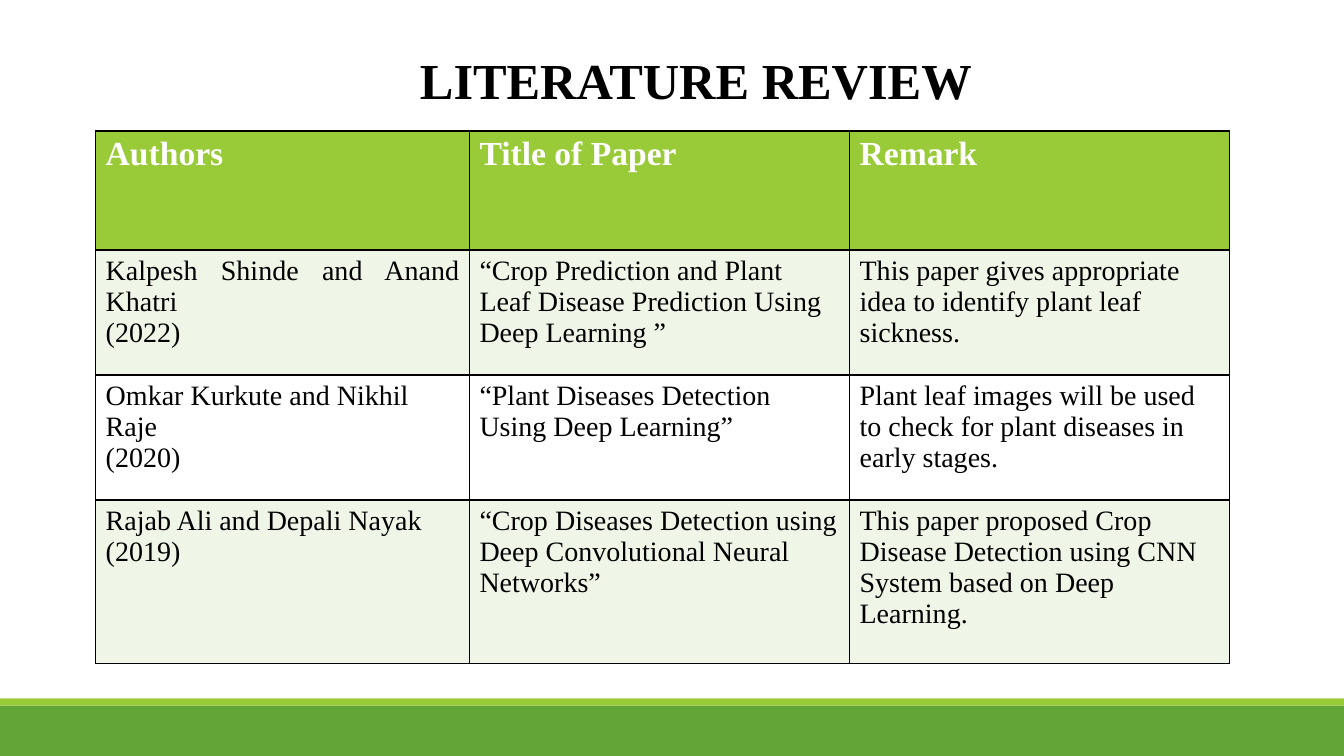
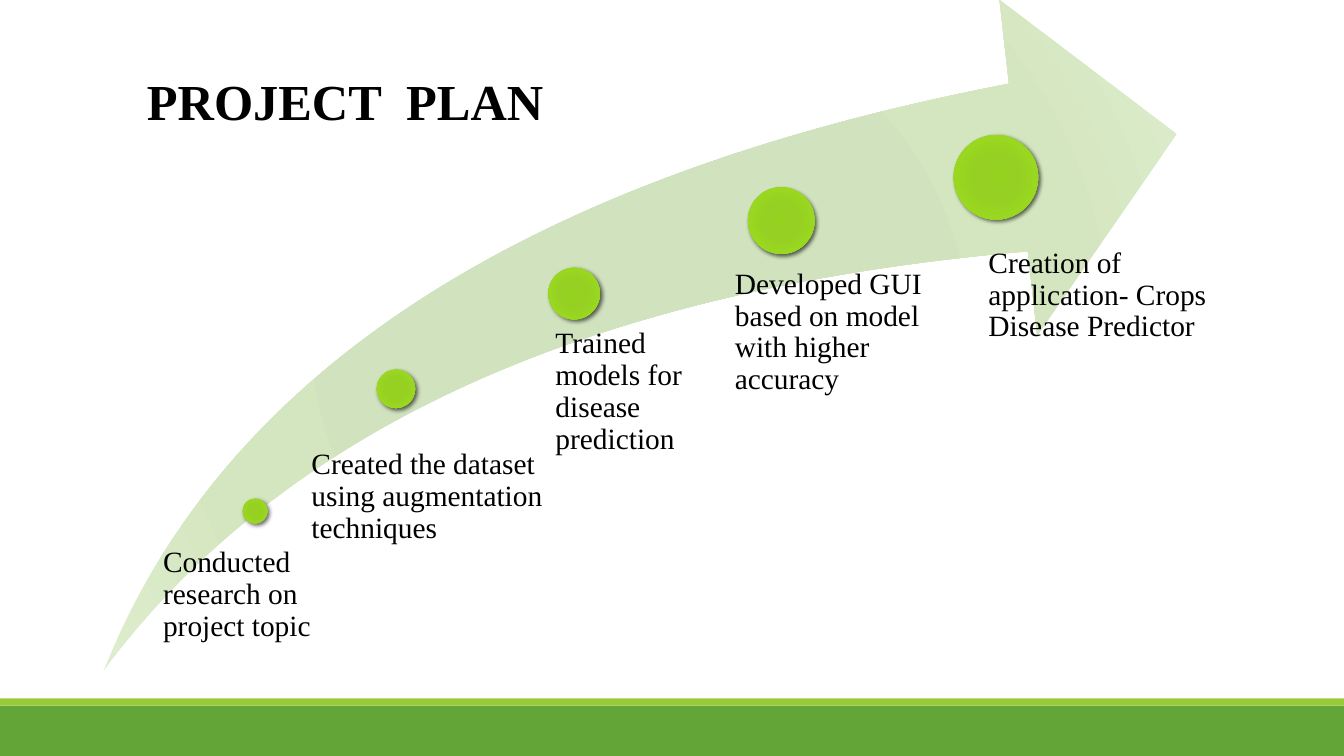
import lxml.etree
import pptx
import pptx.dml.color
import pptx.enum.shapes
import pptx.enum.text
import pptx.oxml
import pptx.oxml.ns
import pptx.util

Cm, Pt = pptx.util.Cm, pptx.util.Pt
SHAPES = pptx.enum.shapes.MSO_SHAPE
ALIGN = pptx.enum.text.PP_ALIGN
qn = pptx.oxml.ns.qn
NAMESPACE = pptx.oxml.ns.nsdecls("a")

FONT = "Times New Roman"
COLORS = {
    "green": "63A537",
    "lime": "99CB38",
    "pale": "EFF6E8",
    "white": "FFFFFF",
    "black": "000000",
}
ARROW_STOPS = ["CFE0BC", "D1E2BE", "D4E6C0", "DEEDCD"]
DOT_STOPS = ["95D220", "96D023", "99D720", "9BD231"]
STOP_POSITIONS = [0, 34, 70, 100]


def style_text(frame, size, color="black", bold=False, align=None):
    for para in frame.paragraphs:
        para.alignment = align
        for span in para.runs:
            span.font.name = FONT
            span.font.size = Pt(size)
            span.font.bold = bold
            span.font.color.rgb = pptx.dml.color.RGBColor.from_string(COLORS[color])


def fill_radial(shape, stops):
    shape.shadow.inherit = False
    shape.line.fill.background()
    shape.fill.background()
    stop_xml = "".join(
        f'<a:gs pos="{position * 1000}"><a:srgbClr val="{color}"/></a:gs>'
        for position, color in zip(STOP_POSITIONS, stops))
    gradient = pptx.oxml.parse_xml(
        f'<a:gradFill {NAMESPACE} rotWithShape="1"><a:gsLst>{stop_xml}</a:gsLst>'
        '<a:path path="circle"><a:fillToRect l="100000" t="100000" r="100000" b="100000"/>'
        '</a:path></a:gradFill>')
    properties = shape._element.spPr
    properties.replace(properties.find(qn("a:noFill")), gradient)


deck = pptx.Presentation()
deck.slide_width, deck.slide_height = Cm(33.87), Cm(19.05)
layout = deck.slide_layouts[5]

# Slides and their titles: text, left, top, width
titles = [
    ("LITERATURE REVIEW", 6.76, 1.12, 21.56),
    ("PROJECT  PLAN", 2.39, 1.65, 12.62),
]
for text, left, top, width in titles:
    page = deck.slides.add_slide(layout)
    title = page.shapes.title
    title.left, title.top, title.width, title.height = Cm(left), Cm(top), Cm(width), Cm(1.8)
    frame = title.text_frame
    frame.text = text
    frame.word_wrap = True
    frame.auto_size = pptx.enum.text.MSO_AUTO_SIZE.SHAPE_TO_FIT_TEXT
    frame.vertical_anchor = pptx.enum.text.MSO_ANCHOR.TOP
    style_text(frame, 36, bold=True, align=ALIGN.CENTER)
review, plan = deck.slides

# Bottom bands, drawn once and moved into the shared layout
bands = [("green", 17.78, 1.27), ("lime", 17.6, 0.18)]
for number, (color, top, height) in enumerate(bands):
    band = review.shapes.add_shape(
        SHAPES.RECTANGLE, 0, Cm(top), deck.slide_width, Cm(height))
    band.shadow.inherit = False
    band.line.fill.background()
    band.fill.solid()
    band.fill.fore_color.rgb = pptx.dml.color.RGBColor.from_string(COLORS[color])
    band._element.nvSpPr.cNvPr.set("id", str(100 + number))
    layout.shapes._spTree.append(band._element)

# Literature table
papers = [
    ("Authors", "Title of Paper", "Remark"),
    ("Kalpesh Shinde and Anand Khatri\n(2022)",
     "“Crop Prediction and Plant Leaf Disease Prediction Using Deep Learning ”",
     "This paper gives appropriate idea to identify plant leaf sickness."),
    ("Omkar Kurkute and Nikhil Raje\n(2020)",
     "“Plant Diseases Detection Using Deep Learning”",
     "Plant leaf images will be used to check for plant diseases in early stages."),
    ("Rajab Ali and Depali Nayak\n(2019)",
     "“Crop Diseases Detection using Deep Convolutional Neural Networks”",
     "This paper proposed Crop Disease Detection using CNN System based on Deep Learning."),
]
column_widths = [9.42, 9.58, 9.58]
row_heights = [3, 3.15, 3.15, 4.11]
row_fills = ["lime", "pale", "white", "pale"]
table = review.shapes.add_table(
    len(papers), len(column_widths), Cm(2.41), Cm(3.3),
    Cm(sum(column_widths)), Cm(sum(row_heights))).table
table.first_row = table.horz_banding = False
for column, width in zip(table.columns, column_widths):
    column.width = Cm(width)
for row, height in zip(table.rows, row_heights):
    row.height = Cm(height)

for row_index, texts in enumerate(papers):
    for column_index, text in enumerate(texts):
        cell = table.cell(row_index, column_index)
        cell.text_frame.text = text
        if row_index == 0:
            style_text(cell.text_frame, 24, "white", bold=True)
        else:
            justified = (row_index, column_index) == (1, 0)
            style_text(cell.text_frame, 20, align=ALIGN.JUSTIFY if justified else None)
        cell.fill.solid()
        cell.fill.fore_color.rgb = pptx.dml.color.RGBColor.from_string(
            COLORS[row_fills[row_index]])
        for order, side in enumerate(["lnL", "lnR", "lnT", "lnB"]):
            border = pptx.oxml.parse_xml(
                f'<a:{side} {NAMESPACE} w="12700"><a:solidFill>'
                f'<a:srgbClr val="{COLORS["black"]}"/></a:solidFill></a:{side}>')
            cell._tc.get_or_add_tcPr().insert(order, border)

# Rising arrow
arrow = plan.shapes.add_shape(SHAPES.SWOOSH_ARROW, Cm(2.62), 0, Cm(27.03), Cm(16.89))
arrow.adjustments[0] = arrow.adjustments[1] = 0.25
fill_radial(arrow, ARROW_STOPS)

# Milestones: text, dot (centre x, centre y, diameter), label (left, top, width, height, inset)
milestones = [
    ("Conducted research on project topic",
     (6.43, 12.88, 0.62), (3.78, 13.79, 5.03, 2.51, 0.33)),
    ("Created the dataset using augmentation techniques",
     (9.98, 9.8, 0.97), (7.34, 11.33, 6.86, 4.14, 0.51)),
    ("Trained models for disease prediction",
     (14.47, 7.4, 1.3), (13.31, 8.28, 5.21, 6.05, 0.69)),
    ("Developed GUI based on model with higher accuracy",
     (19.69, 5.56, 1.68), (17.63, 6.78, 5.66, 3.73, 0.89)),
    ("Creation of application- Crops Disease Predictor",
     (25.1, 4.47, 2.13), (23.77, 6.25, 7.11, 3.28, 1.14)),
]
for text, (center_x, center_y, diameter), (left, top, width, height, inset) in milestones:
    dot = plan.shapes.add_shape(
        SHAPES.OVAL, Cm(center_x - diameter / 2), Cm(center_y - diameter / 2),
        Cm(diameter), Cm(diameter))
    fill_radial(dot, DOT_STOPS)
    dot._element.spPr.find(qn("a:effectLst")).append(pptx.oxml.parse_xml(
        f'<a:outerShdw {NAMESPACE} blurRad="38100" dist="25400" dir="2700000" rotWithShape="0">'
        f'<a:srgbClr val="{COLORS["black"]}"><a:alpha val="60000"/></a:srgbClr></a:outerShdw>'))

    label = plan.shapes.add_textbox(Cm(left), Cm(top), Cm(width), Cm(height))
    frame = label.text_frame
    frame.word_wrap = True
    frame.margin_left = Cm(inset)
    frame.margin_top = frame.margin_right = frame.margin_bottom = 0
    frame.text = text
    frame.paragraphs[0].line_spacing = 0.9
    style_text(frame, 21)

deck.save("out.pptx")
